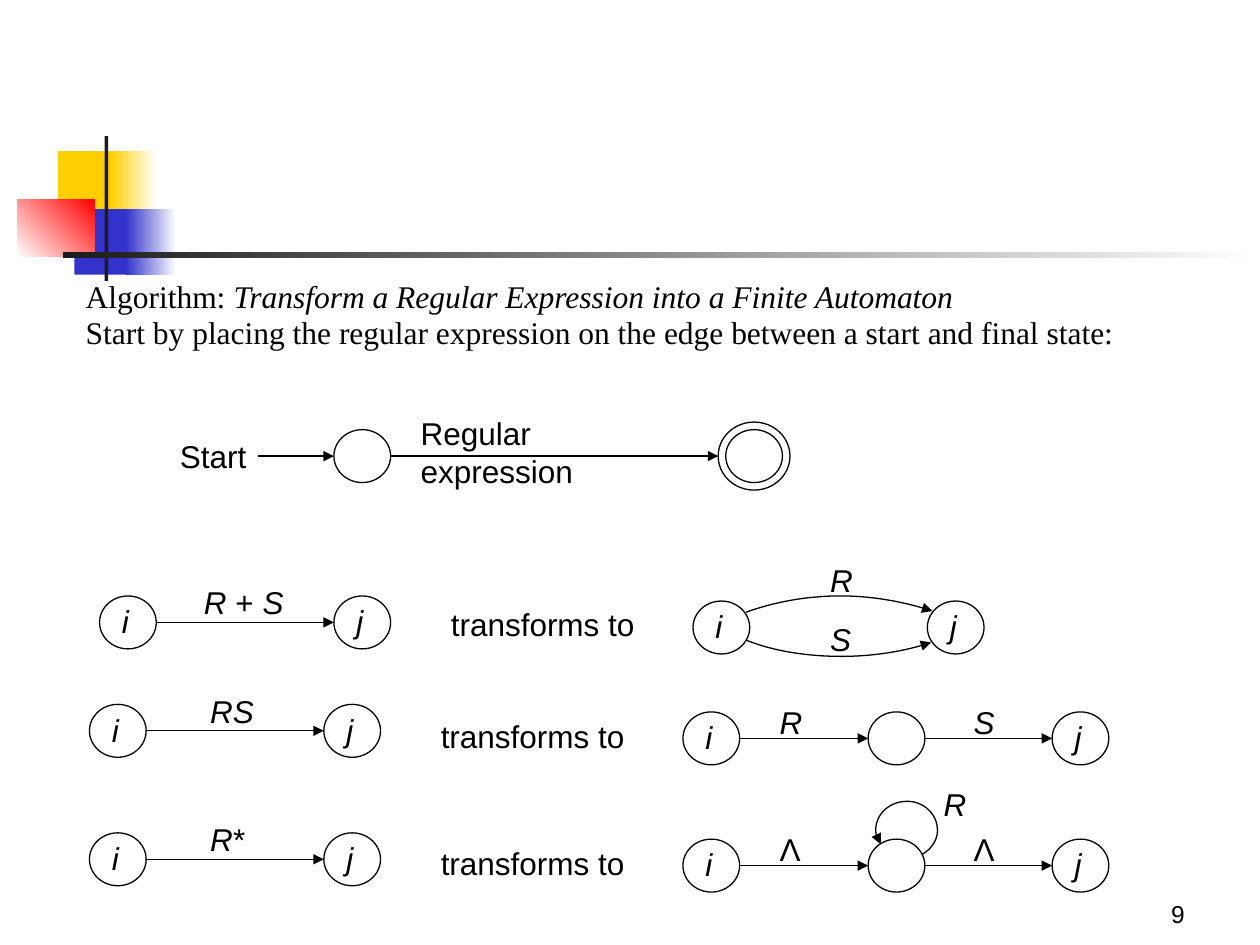
from typing import NamedTuple

from lxml import etree
from pptx import Presentation
from pptx.dml.color import RGBColor
from pptx.enum.shapes import MSO_CONNECTOR, MSO_SHAPE
from pptx.enum.text import MSO_ANCHOR, MSO_AUTO_SIZE, PP_ALIGN
from pptx.oxml.ns import qn
from pptx.util import Emu, Pt

RECTANGLE = MSO_SHAPE.RECTANGLE
OVAL = MSO_SHAPE.OVAL
STRAIGHT = MSO_CONNECTOR.STRAIGHT
NO_AUTOFIT = MSO_AUTO_SIZE.NONE
BOTTOM = MSO_ANCHOR.BOTTOM
LEFT, RIGHT = PP_ALIGN.LEFT, PP_ALIGN.RIGHT

SCALE = 9144
STATE_WIDTH, STATE_HEIGHT = 45, 42
CURVE_STEPS = 16
COLOURS = {
    "ink": "000000",
    "white": "FFFFFF",
    "yellow": "FFCF01",
    "blue": "3333CC",
    "red": "FF0000",
    "charcoal": "1C1C1C",
}


class Span(NamedTuple):
    text: str
    italic: bool = False


class Block(NamedTuple):
    left: int
    top: int
    width: int
    height: int
    start: str
    end: str
    angle: int = 0


class Rule(NamedTuple):
    left: int
    top: int
    label_left: int
    spans: tuple[Span, ...]
    verb_top: int


class Chain(NamedTuple):
    top: int
    first: Span
    second: Span


R, S, LAMBDA = Span("R", True), Span("S", True), Span("Λ")

BLOCKS = [
    Block(46, 120, 48, 52, "yellow", "yellow"),
    Block(88, 120, 36, 52, "yellow", "white"),
    Block(59, 166, 46, 52, "blue", "blue"),
    Block(100, 166, 40, 52, "blue", "white"),
    Block(14, 158, 61, 46, "white", "red", 45),
    Block(83, 108, 3, 115, "charcoal", "charcoal"),
    Block(50, 200, 950, 5, "charcoal", "white"),
]
RULES = [
    Rule(79, 473, 152, (R, Span(" + "), S), 475),
    Rule(71, 559, 157, (Span("RS", True),), 564),
    Rule(71, 661, 157, (R, Span("*")), 665),
]
CHAINS = [Chain(565, R, S), Chain(666, LAMBDA, LAMBDA)]
CURVES = [
    [(592, 486), (614, 478), (640, 473), (667, 473), (693, 473), (719, 478), (740, 485)],
    [(592, 508), (614, 517), (641, 521), (668, 521), (693, 521), (718, 517), (739, 510)],
    [(732, 678), (739, 674), (744, 667), (744, 659), (744, 646), (733, 636), (720, 636),
     (706, 636), (695, 646), (695, 659), (695, 663), (697, 667), (699, 670)],
]
HEADING = [
    (Span("Algorithm: "), Span("Transform a Regular Expression into a Finite Automaton", True)),
    (Span("Start by placing the regular expression on the edge between a start and final state:"),),
]


def colour(name: str) -> RGBColor:
    return RGBColor.from_string(COLOURS[name])


def px(*lengths: float) -> list[Emu]:
    return [Emu(round(length * SCALE)) for length in lengths]


def write_spans(paragraph, spans, size: int = 18, font: str = "Arial") -> None:
    for span in spans:
        run = paragraph.add_run()
        run.text = span.text
        run.font.name = font
        run.font.size = Pt(size)
        run.font.italic = span.italic
        run.font.color.rgb = colour("ink")


def draw_label(page, left: int, top: int, width: int, *spans: Span, height: int = 40,
               size: int = 18, align=LEFT):
    box = page.shapes.add_textbox(*px(left, top, width, height))
    box.text_frame.word_wrap = True
    paragraph = box.text_frame.paragraphs[0]
    paragraph.alignment = align
    write_spans(paragraph, spans, size)
    return box


def draw_block(page, block: Block) -> None:
    shape = page.shapes.add_shape(RECTANGLE, *px(*block[:4]))
    shape.shadow.inherit = False
    shape.line.fill.background()
    if block.start == block.end:
        shape.fill.solid()
        shape.fill.fore_color.rgb = colour(block.start)
        return
    shape.fill.gradient()
    shape.fill.gradient_angle = block.angle
    for stop, name in zip(shape.fill.gradient_stops, (block.start, block.end)):
        stop.color.rgb = colour(name)


def set_line(shape, arrow: bool = False) -> None:
    shape.line.color.rgb = colour("ink")
    shape.line.width = Pt(0.75)
    if arrow:
        outline = shape._element.spPr.find(qn("a:ln"))
        etree.SubElement(outline, qn("a:tailEnd")).set("type", "triangle")


def draw_state(page, left: int, top: int, name: str = "", margin: int = 0) -> None:
    shape = page.shapes.add_shape(OVAL, *px(left - margin, top - margin,
                                            STATE_WIDTH + 2 * margin, STATE_HEIGHT + 2 * margin))
    shape.shadow.inherit = False
    shape.fill.background()
    set_line(shape)
    if name:
        draw_label(page, left + 8, top, 30, Span(name, True))


def draw_arrow(page, start: int, end: int, height: int) -> None:
    arrow = page.shapes.add_connector(STRAIGHT, *px(start, height, end, height))
    set_line(arrow, arrow=True)
    etree.SubElement(arrow._element.spPr, qn("a:effectLst"))


def bezier_point(anchors, t: float) -> tuple[float, float]:
    weights = ((1 - t) ** 3, 3 * t * (1 - t) ** 2, 3 * t * t * (1 - t), t ** 3)
    x, y = (sum(w * value for w, value in zip(weights, axis)) for axis in zip(*anchors))
    return x, y


def draw_curve(page, anchors) -> None:
    points = [px(*bezier_point(anchors[first:first + 4], step / CURVE_STEPS))
              for first in range(0, len(anchors) - 1, 3)
              for step in range(1, CURVE_STEPS + 1)]
    builder = page.shapes.build_freeform(*px(*anchors[0]))
    builder.add_line_segments(points, close=False)
    curve = builder.convert_to_shape()
    curve.shadow.inherit = False
    curve.fill.background()
    set_line(curve, arrow=True)


def draw_rule(page, rule: Rule) -> None:
    target = rule.left + 186
    draw_state(page, rule.left, rule.top, "i")
    draw_state(page, target, rule.top, "j")
    draw_arrow(page, rule.left + STATE_WIDTH, target, rule.top + 21)
    draw_label(page, rule.label_left, rule.top - 15, 89, *rule.spans)
    draw_label(page, rule.left + 269, rule.verb_top, 180, Span("transforms to"))


def draw_chain(page, chain: Chain) -> None:
    lefts = (542, 689, 835)
    for left, name in zip(lefts, ("i", "", "j")):
        draw_state(page, left, chain.top, name)
    for start, end in zip(lefts, lefts[1:]):
        draw_arrow(page, start + STATE_WIDTH, end, chain.top + 21)
    draw_label(page, 609, chain.top - 12, 37, chain.first)
    draw_label(page, 763, chain.top - 12, 37, chain.second)


def write_heading(page) -> None:
    title, body = page.placeholders
    title._element.getparent().remove(title._element)
    body.left, body.top, body.width, body.height = px(58, 217, 942, 67)
    body.text_frame.auto_size = NO_AUTOFIT
    for index, spans in enumerate(HEADING):
        paragraph = body.text_frame.add_paragraph() if index else body.text_frame.paragraphs[0]
        paragraph.line_spacing = 0.95
        paragraph.space_before = Pt(0)
        properties = paragraph._p.get_or_add_pPr()
        properties.set("marL", "0")
        properties.set("indent", "0")
        etree.SubElement(properties, qn("a:buNone"))
        write_spans(paragraph, spans, font="Times New Roman")


def main() -> None:
    deck = Presentation()
    deck.slide_width, deck.slide_height = px(1000, 750)
    page = deck.slides.add_slide(deck.slide_layouts[1])
    write_heading(page)
    for block in BLOCKS:
        draw_block(page, block)
    draw_label(page, 133, 342, 80, Span("Start"))
    draw_arrow(page, 205, 265, 362)
    draw_state(page, 265, 341)
    draw_arrow(page, 310, 570, 362)
    draw_label(page, 324, 324, 234, Span("Regular expression"), height=70)
    draw_state(page, 576, 341)
    draw_state(page, 576, 341, margin=6)
    for rule in RULES:
        draw_rule(page, rule)
    draw_state(page, 550, 477, "i")
    draw_state(page, 736, 477, "j")
    draw_label(page, 649, 440, 37, R)
    draw_label(page, 649, 487, 37, S)
    for chain in CHAINS:
        draw_chain(page, chain)
    draw_label(page, 739, 618, 37, R)
    for anchors in CURVES:
        draw_curve(page, anchors)
    number = draw_label(page, 742, 692, 208, Span("9"), height=50, size=14, align=RIGHT)
    number.text_frame.vertical_anchor = BOTTOM
    deck.save("out.pptx")


if __name__ == "__main__":
    main()
